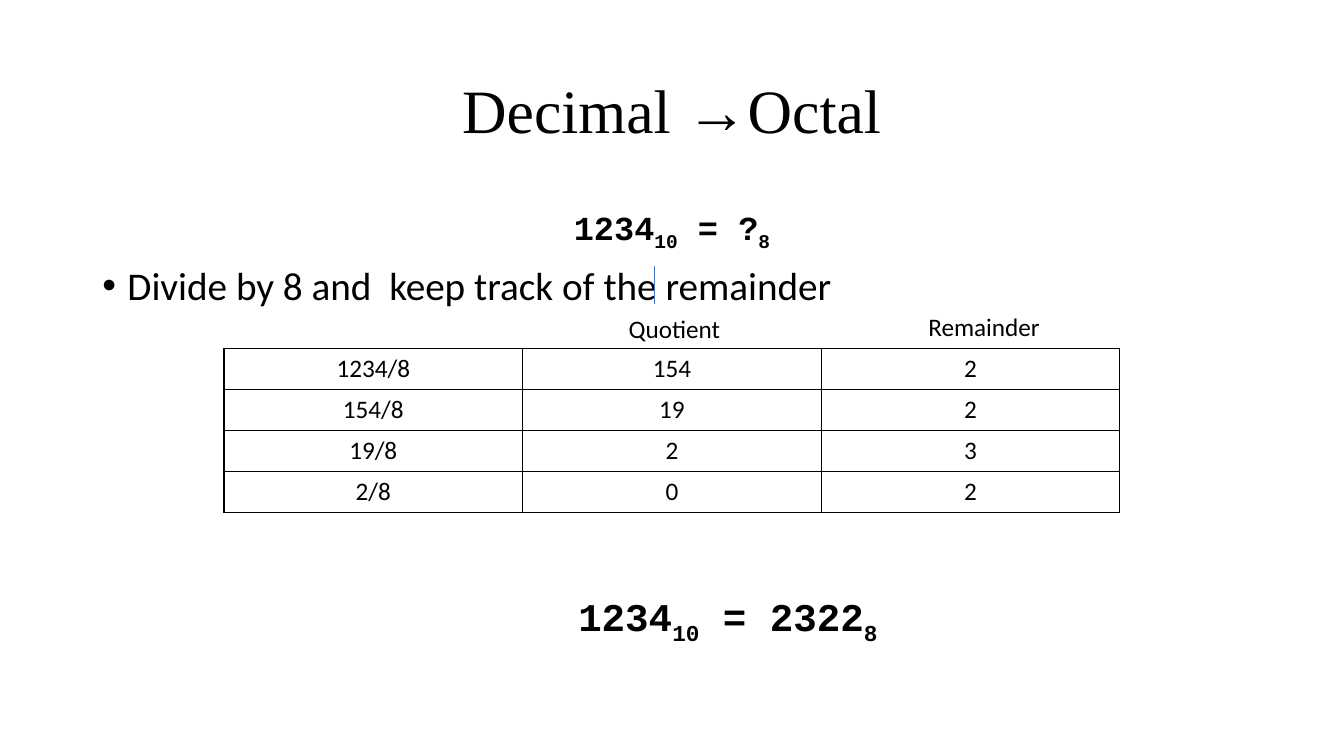
from dataclasses import dataclass

from pptx import Presentation
from pptx.dml.color import RGBColor
from pptx.enum import shapes, text
from pptx.oxml import parse_xml
from pptx.oxml.ns import nsdecls
from pptx.util import Pt


@dataclass(frozen=True)
class Theme:
    """Colours, fonts and type sizes of the slide."""
    ink: str = "000000"
    accent: str = "4472C4"
    title_font: str = "Times New Roman"
    body_font: str = "Calibri"
    number_font: str = "Courier New"
    title_size: int = 44
    body_size: int = 28
    question_size: int = 24
    label_size: int = 18


THEME = Theme()
CENTER = text.PP_ALIGN.CENTER
DIVISIONS = [
    ("1234/8", "154", "2"),
    ("154/8", "19", "2"),
    ("19/8", "2", "3"),
    ("2/8", "0", "2"),
]


def write(paragraph, content, *, size, font=THEME.body_font, bold=False,
          align=None, before=0, spacing=None, subscript=False):
    """Add one formatted run and set its paragraph's layout."""
    run = paragraph.add_run()
    run.text = content
    run.font.size = Pt(size)
    run.font.name = font
    run.font.bold = bold
    run.font.color.rgb = RGBColor.from_string(THEME.ink)
    if subscript:
        run.font._element.set("baseline", "-25000")
    paragraph.alignment = align
    paragraph.space_before = Pt(before)
    paragraph.line_spacing = spacing


def write_equation(paragraph, parts, **style):
    """Write alternating numbers and subscript bases."""
    for index, part in enumerate(parts):
        write(paragraph, part, font=THEME.number_font, bold=True,
              subscript=index % 2 == 1, **style)


def add_bullet(paragraph, indent):
    """Give a paragraph a round bullet with a hanging indent."""
    properties = paragraph._p.get_or_add_pPr()
    properties.set("marL", str(Pt(indent)))
    properties.set("indent", str(-Pt(indent)))
    for xml in ('<a:buFont {} typeface="Arial"/>', '<a:buChar {} char="•"/>'):
        properties.append(parse_xml(xml.format(nsdecls("a"))))


def add_text_box(slide, left, top, width, height):
    """Add a wrapping text box and return its text frame."""
    box = slide.shapes.add_textbox(Pt(left), Pt(top), Pt(width), Pt(height))
    box.text_frame.word_wrap = True
    return box.text_frame


def add_title(slide, content):
    """Place and fill the title placeholder."""
    title = slide.shapes.title
    title.left, title.top, title.width, title.height = Pt(66), Pt(29), Pt(828), Pt(104)
    title.text_frame.vertical_anchor = text.MSO_ANCHOR.MIDDLE
    write(title.text_frame.paragraphs[0], content, size=THEME.title_size,
          font=THEME.title_font, align=CENTER, spacing=0.9)


def add_body(slide):
    """Add the question and the instruction below it."""
    frame = add_text_box(slide, 66, 144, 828, 343)
    write_equation(frame.paragraphs[0], ["1234", "10", " = ?", "8"],
                   size=THEME.question_size, align=CENTER, before=5)
    instruction = frame.add_paragraph()
    write(instruction, "Divide by 8 and  keep track of the remainder",
          size=THEME.body_size, before=10, spacing=0.9)
    add_bullet(instruction, 18)


def add_rule(slide, x, top, bottom):
    """Add a thin vertical line without a shadow."""
    rule = slide.shapes.add_connector(
        shapes.MSO_CONNECTOR.STRAIGHT, Pt(x), Pt(top), Pt(x), Pt(bottom))
    rule.line.color.rgb = RGBColor.from_string(THEME.accent)
    rule.line.width = Pt(0.5)
    rule._element.spPr.append(parse_xml(f'<a:effectLst {nsdecls("a")}/>'))


def add_borders(cell):
    """Draw a one-point line on every side of a cell."""
    properties = cell._tc.get_or_add_tcPr()
    for index, side in enumerate(("lnL", "lnR", "lnT", "lnB")):
        properties.insert(index, parse_xml(
            f'<a:{side} {nsdecls("a")} w="{Pt(1)}"><a:solidFill>'
            f'<a:srgbClr val="{THEME.ink}"/></a:solidFill></a:{side}>'))


def add_division_table(slide, rows):
    """Add the table of quotients and remainders."""
    row_height = 29.2
    table = slide.shapes.add_table(
        len(rows), len(rows[0]), Pt(160), Pt(249), Pt(640),
        Pt(row_height * len(rows))).table
    table.first_row = table.horz_banding = False
    for row, values in zip(table.rows, rows):
        row.height = Pt(row_height)
        for cell, value in zip(row.cells, values):
            cell.fill.background()
            add_borders(cell)
            write(cell.text_frame.paragraphs[0], value,
                  size=THEME.label_size, align=CENTER)


def add_label(slide, content, left, top, width):
    """Add a column label above the table."""
    frame = add_text_box(slide, left, top, width, 29)
    write(frame.paragraphs[0], content, size=THEME.label_size)


def main():
    """Build and save the slide."""
    presentation = Presentation()
    presentation.slide_width, presentation.slide_height = Pt(960), Pt(540)
    slide = presentation.slides.add_slide(presentation.slide_layouts[5])
    add_title(slide, "Decimal →Octal")
    add_body(slide)
    add_rule(slide, 467.3, 190, 217.5)
    add_division_table(slide, DIVISIONS)
    add_label(slide, "Quotient", 442, 220.5, 122)
    add_label(slide, "Remainder", 656, 219, 137.5)
    answer = add_text_box(slide, 406, 420, 293, 39)
    write_equation(answer.paragraphs[0], ["1234", "10", " = 2322", "8"],
                   size=THEME.body_size, before=10, spacing=0.9)
    presentation.save("out.pptx")


if __name__ == "__main__":
    main()
